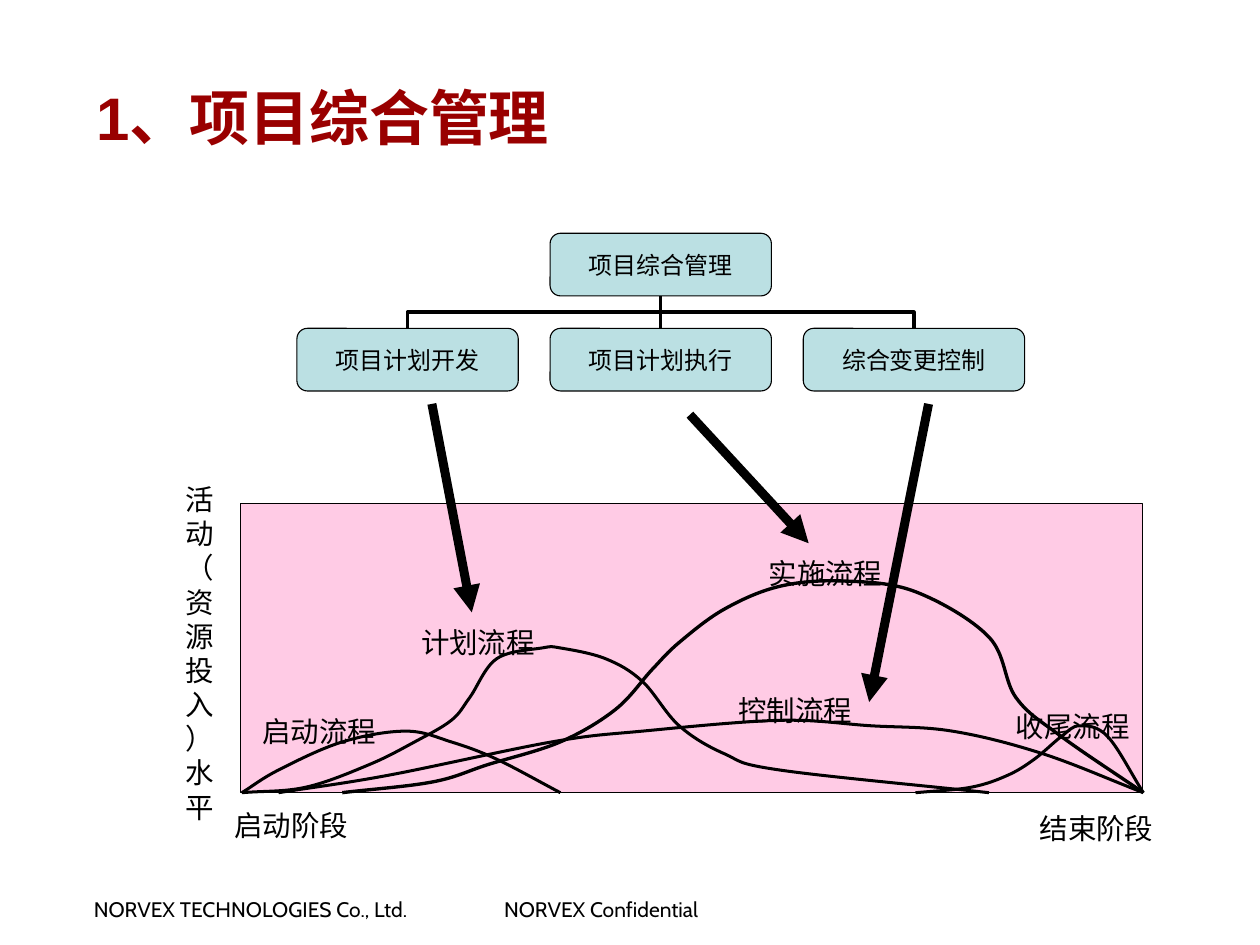
import collections

import pptx
import pptx.dml.color
import pptx.enum.shapes
import pptx.enum.text
import pptx.oxml
import pptx.oxml.ns
import pptx.util

PX = 9144  # 100 px to the inch
Box = collections.namedtuple("Box", "left top width height")

BLACK = pptx.dml.color.RGBColor(0x00, 0x00, 0x00)
DARK_RED = pptx.dml.color.RGBColor(0x99, 0x00, 0x00)
PALE_TEAL = pptx.dml.color.RGBColor(0xBB, 0xE0, 0xE3)
PINK = pptx.dml.color.RGBColor(0xFF, 0x99, 0xCC)

MSO_SHAPE = pptx.enum.shapes.MSO_SHAPE
CONNECTOR = pptx.enum.shapes.MSO_CONNECTOR
PP_ALIGN = pptx.enum.text.PP_ALIGN
MIDDLE = pptx.enum.text.MSO_ANCHOR.MIDDLE
NS = pptx.oxml.ns.nsdecls("a")

# Knots of each process curve, relative to the activity panel
PROCESS_CURVES = [
    (2, [(1, 268), (35, 247), (94, 221), (153, 211), (195, 221), (237, 237), (296, 268)]),
    (2, [(1, 268), (60, 263), (119, 242), (161, 221), (195, 201), (212, 180), (237, 144),
         (279, 134), (296, 134), (338, 144), (372, 165), (406, 206), (448, 232),
         (499, 247), (693, 268)]),
    (2.25, [(94, 268), (178, 258), (229, 242), (296, 221), (347, 191), (381, 154),
            (406, 129), (448, 98), (499, 77), (558, 72), (625, 82), (693, 124),
            (718, 180), (760, 216), (836, 268)]),
    (2, [(35, 268), (136, 252), (288, 221), (372, 211), (499, 201), (583, 206),
         (659, 211), (743, 232), (836, 268)]),
    (2, [(625, 268), (676, 263), (710, 252), (735, 237), (760, 216), (777, 206),
         (803, 216), (836, 268)]),
]
# Text, left, top and width, relative to the activity panel
PANEL_LABELS = [
    ("启动阶段", -18, 276, 130),
    ("启动流程", 8, 189, 194),
    ("计划流程", 155, 107, 203),
    ("实施流程", 477, 43, 211),
    ("控制流程", 449, 170, 228),
    ("收尾流程", 706, 185, 153),
    ("结束阶段", 728, 279, 149),
]
PROCESS_ARROWS = [(400, 374, 437, 567), (639, 384, 749, 503), (860, 374, 805, 650)]


def emu(*lengths):
    return [pptx.util.Emu(round(length * PX)) for length in lengths]


def write(frame, text, size, font_name, color=BLACK, align=PP_ALIGN.LEFT, bold=False):
    frame.text = text
    frame.word_wrap = True
    paragraph = frame.paragraphs[0]
    paragraph.alignment = align
    font = paragraph.runs[0].font
    font.size = pptx.util.Pt(size)
    font.name = font_name
    font.bold = bold
    font.color.rgb = color


def add_label(slide, box, text, size, font_name, inset=(10, 5), **style):
    frame = slide.shapes.add_textbox(*emu(*box)).text_frame
    frame.margin_left, frame.margin_right = emu(inset[0], inset[0])
    frame.margin_top, frame.margin_bottom = emu(inset[1], inset[1])
    write(frame, text, size, font_name, **style)
    return frame


def add_block(slide, preset, box, fill):
    block = slide.shapes.add_shape(preset, *emu(*box))
    block.shadow.inherit = False
    block.fill.solid()
    block.fill.fore_color.rgb = fill
    block.line.color.rgb = BLACK
    block.line.width = pptx.util.Pt(0.75)
    return block


def add_line(slide, kind, x1, y1, x2, y2, width, arrow=False):
    line = slide.shapes.add_connector(kind, *emu(x1, y1, x2, y2))
    line.line.color.rgb = BLACK
    line.line.width = pptx.util.Pt(width)
    properties = line.line._get_or_add_ln()
    if arrow:
        properties.append(pptx.oxml.parse_xml(f'<a:tailEnd {NS} type="triangle"/>'))
    properties.addnext(pptx.oxml.parse_xml(f"<a:effectLst {NS}/>"))
    return line


def add_branch(slide, child_x, child_y, parent_x, parent_y):
    """Elbow from a child up to its parent: a turned connector, level in the middle."""
    if child_x == parent_x:
        add_line(slide, CONNECTOR.ELBOW, child_x, child_y, parent_x, parent_y, 2.25)
        return
    side = 1 if child_x > parent_x else -1
    x, y = (child_x + parent_x) / 2, (child_y + parent_y) / 2
    rise, reach = (child_y - parent_y) / 2, abs(child_x - parent_x) / 2
    branch = add_line(slide, CONNECTOR.ELBOW, x - side * rise, y + reach,
                      x + side * rise, y - reach, 2.25)
    turn = 270 if side > 0 else 90
    branch._element.spPr.find(pptx.oxml.ns.qn("a:xfrm")).set("rot", str(turn * 60000))


def curve_handles(knots):
    """Two Bezier handles for each span of a smooth curve through the knots."""
    (x0, y0), (x1, y1) = knots[:2]
    (xm, ym), (xn, yn) = knots[-2:]
    padded = [(2 * x0 - x1, 2 * y0 - y1), *knots, (2 * xn - xm, 2 * yn - ym)]
    for a, b, c, d in zip(padded, padded[1:], padded[2:], padded[3:]):
        yield ([q + (r - p) / 6 for p, q, r in zip(a, b, c)],
               [r - (s - q) / 6 for q, r, s in zip(b, c, d)])


def add_curve(slide, box, knots, width):
    start, *rest = [emu(box.left + x, box.top + y) for x, y in knots]
    builder = slide.shapes.build_freeform(*start)
    builder.add_line_segments(rest, close=False)
    curve = builder.convert_to_shape()
    curve.shadow.inherit = False
    curve.fill.background()
    curve.line.color.rgb = BLACK
    curve.line.width = pptx.util.Pt(width)

    # Bend each straight span
    spans = list(curve._element.iter(pptx.oxml.ns.qn("a:lnTo")))
    for span, handles in zip(spans, curve_handles(knots)):
        bend = pptx.oxml.parse_xml(f"<a:cubicBezTo {NS}/>")
        for x, y in handles:
            handle_x, handle_y = emu(box.left + x, box.top + y)
            bend.append(pptx.oxml.parse_xml(
                f'<a:pt {NS} x="{handle_x - curve.left}" y="{handle_y - curve.top}"/>'))
        bend.append(span[0])
        span.getparent().replace(span, bend)


def add_title(slide, box):
    title = slide.shapes.title
    title.left, title.top, title.width, title.height = emu(*box)
    title.text_frame.vertical_anchor = MIDDLE
    write(title.text_frame, "1、项目综合管理", 40, "Arial", color=DARK_RED, bold=True)


def add_management_tree(slide, box):
    node_width, node_height = 205, 58
    pitch = (box.width - node_width) / 2
    child_top = box.top + box.height - node_height
    lefts = [box.left + i * pitch for i in range(3)]
    centers = [left + node_width / 2 for left in lefts]

    # Branches
    for center in reversed(centers):
        add_branch(slide, center, child_top, centers[1], box.top + node_height)

    # Nodes
    nodes = [("项目综合管理", lefts[1], box.top)]
    children = ["项目计划开发", "项目计划执行", "综合变更控制"]
    nodes += [(text, left, child_top) for text, left in zip(children, lefts)]
    for text, left, top in nodes:
        node = add_block(slide, MSO_SHAPE.ROUNDED_RECTANGLE,
                         Box(left, top, node_width, node_height), PALE_TEAL)
        node.text_frame.vertical_anchor = MIDDLE
        write(node.text_frame, text, 16, "Arial", align=PP_ALIGN.CENTER)


def add_activity_panel(slide, box):
    panel = add_block(slide, MSO_SHAPE.RECTANGLE, box, PINK)
    color = panel.fill._xPr.find(".//" + pptx.oxml.ns.qn("a:srgbClr"))
    color.append(pptx.oxml.parse_xml(f'<a:alpha {NS} val="50000"/>'))
    for width, knots in PROCESS_CURVES:
        add_curve(slide, box, knots, width)
    for text, x, y, width in PANEL_LABELS:
        add_label(slide, Box(box.left + x, box.top + y, width, 43), text, 19,
                  "DejaVu Sans", inset=(12, 6))
    axis_title = add_label(slide, Box(box.left - 65, box.top - 26, 54, 329),
                           "活动（资源投入）水平", 19, "DejaVu Sans", inset=(11, 6),
                           align=PP_ALIGN.CENTER)
    axis_title.vertical_anchor = MIDDLE


def add_footer(slide, box):
    notices = [("NORVEX TECHNOLOGIES Co., Ltd.", 0, 338), ("NORVEX Confidential", 380, 227)]
    for text, x, width in notices:
        add_label(slide, Box(box.left + x, box.top, width, box.height), text, 14, "Cabin")


def main():
    deck = pptx.Presentation()
    deck.slide_width, deck.slide_height = emu(1167, 875)
    slide = deck.slides.add_slide(deck.slide_layouts[5])
    add_footer(slide, Box(77, 825, 607, 33))
    add_title(slide, Box(79, 35, 1029, 146))
    add_management_tree(slide, Box(275, 216, 674, 146))
    add_activity_panel(slide, Box(223, 466, 835, 268))
    # Arrows from the management nodes to their processes
    for ends in PROCESS_ARROWS:
        add_line(slide, CONNECTOR.STRAIGHT, *ends, 6, arrow=True)
    deck.save("out.pptx")


if __name__ == "__main__":
    main()
